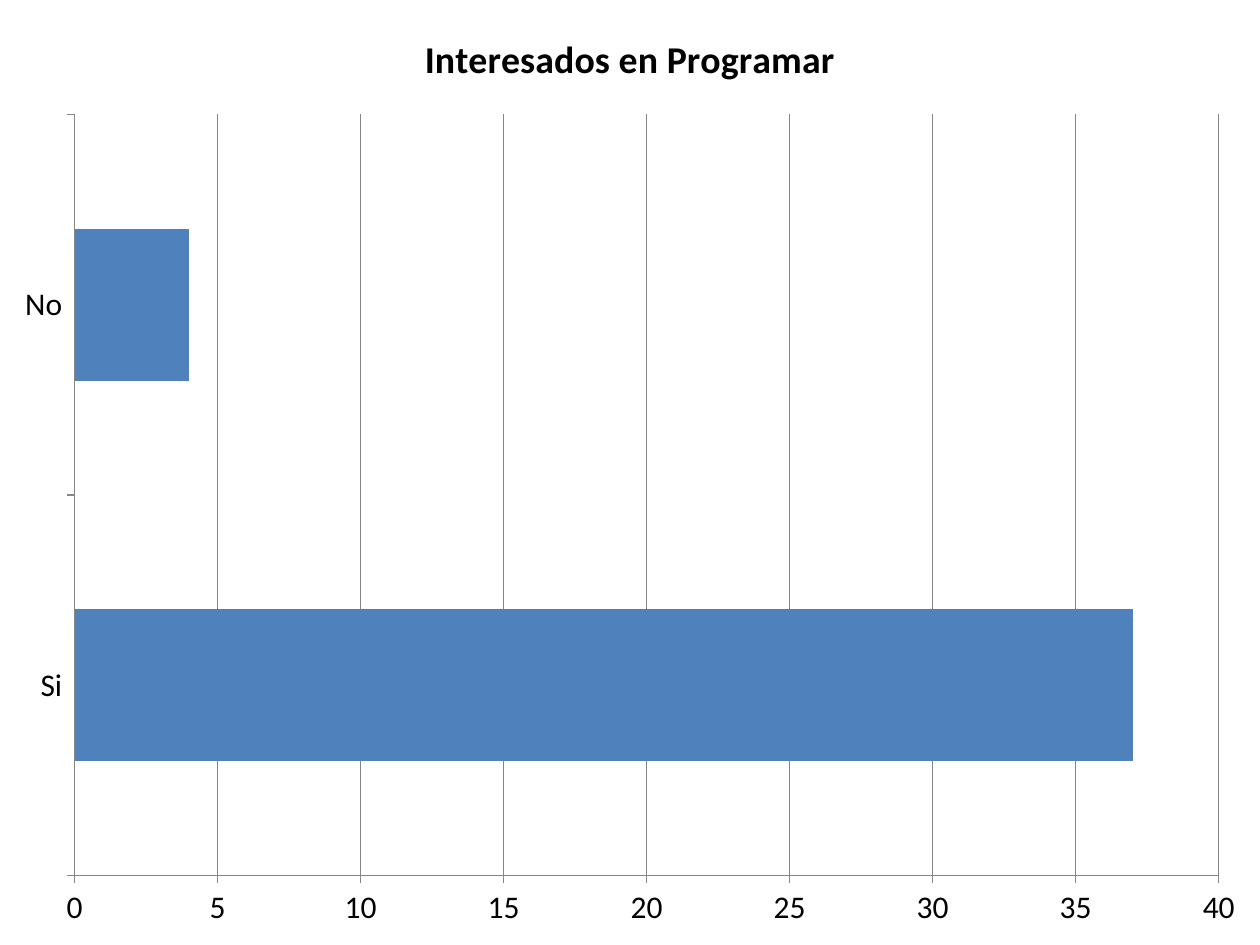
"""Build a slide with one bar chart of interest in programming."""
from dataclasses import dataclass

import pptx
import pptx.chart.data
import pptx.dml.color
import pptx.enum.chart
import pptx.util

Pt = pptx.util.Pt
RGBColor = pptx.dml.color.RGBColor

BLUE = RGBColor(0x4F, 0x81, 0xBD)
BLACK = RGBColor(0, 0, 0)
GREY = RGBColor(0x86, 0x86, 0x86)
FACE = "Calibri"
WIDE, HIGH = Pt(720), Pt(540)
TITLE = "Interesados en Programar"


@dataclass
class Answer:
    name: str
    count: int


ANSWERS = [Answer("Si", 37), Answer("No", 4)]


def set_font(font: pptx.text.text.Font, size: float, bold: bool) -> None:
    font.name = FACE
    font.size = Pt(size)
    font.bold = bold
    font.color.rgb = BLACK


def set_line(line: pptx.dml.line.LineFormat) -> None:
    line.color.rgb = GREY
    line.width = Pt(0.75)


def add_bars(slide: pptx.slide.Slide, answers: list[Answer]) -> None:
    data = pptx.chart.data.CategoryChartData()
    data.categories = [answer.name for answer in answers]
    data.add_series(TITLE, [answer.count for answer in answers])
    kind = pptx.enum.chart.XL_CHART_TYPE.BAR_STACKED
    chart = slide.shapes.add_chart(kind, 0, 0, WIDE, HIGH, data).chart
    set_font(chart.font, 18, False)
    chart.has_legend = False
    chart.has_title = True
    frame = chart.chart_title.text_frame
    frame.text = TITLE
    set_font(frame.paragraphs[0].font, 21.6, True)
    chart.chart_title.include_in_layout = False

    plot = chart.plots[0]
    plot.gap_width = 150
    plot.overlap = 100
    plot.vary_by_categories = False
    fill = plot.series[0].format.fill
    fill.solid()
    fill.fore_color.rgb = BLUE

    for axis in (chart.category_axis, chart.value_axis):
        axis.major_tick_mark = pptx.enum.chart.XL_TICK_MARK.OUTSIDE
        axis.minor_tick_mark = pptx.enum.chart.XL_TICK_MARK.NONE
        set_line(axis.format.line)
    scale = chart.value_axis
    scale.minimum_scale = 0
    scale.maximum_scale = 40
    scale.major_unit = 5
    scale.has_major_gridlines = True
    set_line(scale.major_gridlines.format.line)


def main() -> None:
    deck = pptx.Presentation()
    deck.slide_width, deck.slide_height = WIDE, HIGH
    slide = deck.slides.add_slide(deck.slide_layouts[6])
    add_bars(slide, ANSWERS)
    deck.save("out.pptx")


if __name__ == "__main__":
    main()
